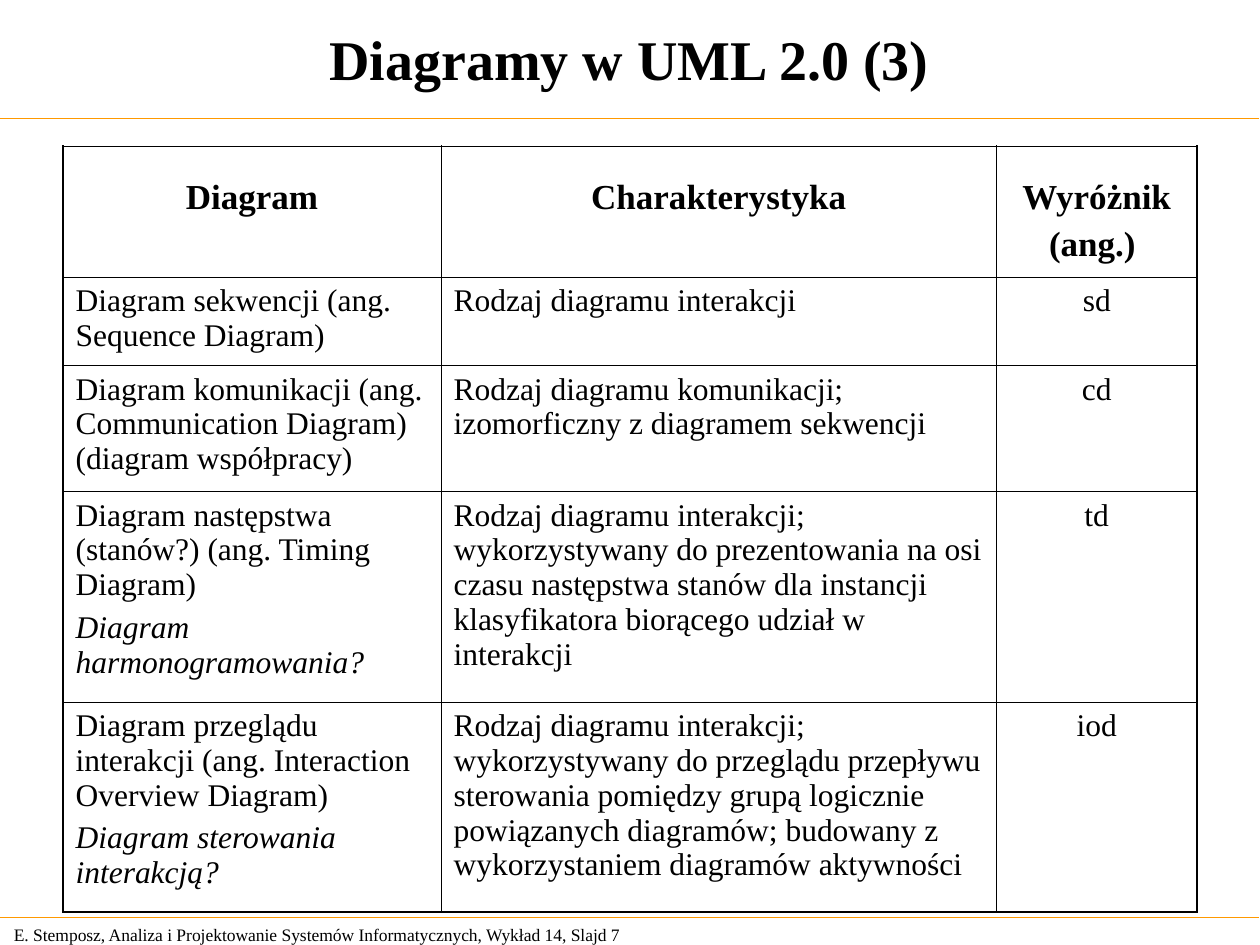
from lxml.etree import SubElement
from pptx import Presentation
from pptx.dml.color import RGBColor
from pptx.enum.shapes import MSO_CONNECTOR as Connector
from pptx.enum.text import MSO_ANCHOR as Anchor, MSO_AUTO_SIZE as AutoSize, PP_ALIGN as Align
from pptx.oxml.ns import qn
from pptx.util import Cm, Pt

BLACK, ORANGE = "000000", "FF9900"
THIN, THICK = 0.45, 1.08
COLUMN_WIDTHS = [7.62, 11.2, 4.04]
ROW_HEIGHTS = [2.64, 1.78, 2.54, 4.24, 4.24]
HEADINGS = [["Diagram"], ["Charakterystyka"], ["Wyróżnik", "(ang.) "]]
DIAGRAMS = [
    [["Diagram sekwencji (ang. Sequence Diagram)"],
     ["Rodzaj diagramu interakcji"], ["sd"]],
    [["Diagram komunikacji (ang. Communication Diagram) (diagram współpracy)"],
     ["Rodzaj diagramu komunikacji; izomorficzny z diagramem sekwencji"], ["cd"]],
    [["Diagram następstwa (stanów?) (ang. Timing Diagram)", "Diagram harmonogramowania?"],
     ["Rodzaj diagramu interakcji; wykorzystywany do prezentowania na osi czasu "
      "następstwa stanów dla instancji klasyfikatora biorącego udział w interakcji"], ["td"]],
    [["Diagram przeglądu interakcji (ang. Interaction Overview Diagram)",
      "Diagram sterowania interakcją?"],
     ["Rodzaj diagramu interakcji; wykorzystywany do przeglądu przepływu sterowania "
      "pomiędzy grupą logicznie powiązanych diagramów; budowany z wykorzystaniem "
      "diagramów aktywności"], ["iod"]],
]


def color(hex_code):
    """Turn a hex string into a colour."""
    return RGBColor.from_string(hex_code)


def apply(target, **values):
    """Set each given attribute on the target."""
    for name, value in values.items():
        setattr(target, name, value)


class SlideBuilder:
    """Hold the lecture style and the current slide."""

    font_name = "Times New Roman"

    def __init__(self, slide):
        """Keep the slide to fill."""
        self.slide = slide

    def fill_text(self, frame, texts, size, align=Align.LEFT, gap=0, bold=False,
                  last_italic=False):
        """Fill a frame with paragraphs, with an optional italic remark at the end."""
        for index, text in enumerate(texts):
            paragraph = frame.paragraphs[0] if index == 0 else frame.add_paragraph()
            paragraph.text = text
            paragraph.alignment = align
            if index:
                paragraph.space_before = Pt(gap)
            apply(paragraph.font, name=self.font_name, size=Pt(size), bold=bold,
                  italic=last_italic and index > 0)
            paragraph.font.color.rgb = color(BLACK)

    def title(self, text):
        """Place and format the slide title."""
        heading = self.slide.shapes.title
        apply(heading, left=0, top=0, width=Cm(25.37), height=Cm(2.34))
        apply(heading.text_frame, auto_size=AutoSize.NONE, vertical_anchor=Anchor.MIDDLE)
        self.fill_text(heading.text_frame, [text], 32, Align.CENTER, bold=True)

    def footer(self, text):
        """Add the lecture line at the bottom."""
        lecture = self.slide.shapes.add_textbox(Cm(0.03), Cm(18.49), Cm(13.31), Cm(0.69))
        apply(lecture.text_frame, word_wrap=False, vertical_anchor=Anchor.MIDDLE)
        self.fill_text(lecture.text_frame, [text], 10)

    def rule(self, top):
        """Draw a horizontal rule across the slide."""
        divider = self.slide.shapes.add_connector(
            Connector.STRAIGHT, Cm(-0.03), Cm(top), Cm(25.37), Cm(top))
        divider.line.color.rgb = color(ORANGE)
        divider.line.width = Pt(0.75)
        SubElement(divider._element.spPr, qn("a:effectLst"))

    def borders(self, cell, widths):
        """Draw the four cell borders in the given widths."""
        properties = cell._tc.get_or_add_tcPr()
        for side, width in widths.items():
            edge = SubElement(properties, qn(f"a:ln{side}"), w=str(int(Pt(width))))
            fill = SubElement(edge, qn("a:solidFill"))
            SubElement(fill, qn("a:srgbClr"), val=BLACK)

    def table(self, left, top, rows):
        """Add the diagram table with a thick outer frame."""
        last_row, last_column = len(rows) - 1, len(COLUMN_WIDTHS) - 1
        grid = self.slide.shapes.add_table(
            len(rows), len(COLUMN_WIDTHS), Cm(left), Cm(top),
            Cm(sum(COLUMN_WIDTHS)), Cm(sum(ROW_HEIGHTS))).table
        apply(grid, first_row=False, horz_banding=False)
        for column, width in zip(grid.columns, COLUMN_WIDTHS):
            column.width = Cm(width)
        for r, (row, height) in enumerate(zip(rows, ROW_HEIGHTS)):
            grid.rows[r].height = Cm(height)
            for c, texts in enumerate(row):
                cell = grid.cell(r, c)
                outer = {"L": c == 0, "R": c == last_column, "T": r == 0, "B": r == last_row}
                self.borders(cell, {side: THICK if edge else THIN for side, edge in outer.items()})
                cell.fill.background()
                if r == 0:
                    cell.margin_top = Cm(0.64)
                    self.fill_text(cell.text_frame, texts, 20, Align.CENTER, gap=5, bold=True)
                else:
                    align = Align.CENTER if c == last_column else Align.LEFT
                    self.fill_text(cell.text_frame, texts, 18, align, gap=4.5, last_italic=True)


def main():
    """Build and save the slide."""
    deck = Presentation()
    apply(deck, slide_width=Cm(25.4), slide_height=Cm(19.05))
    builder = SlideBuilder(deck.slides.add_slide(deck.slide_layouts[5]))
    builder.footer("E. Stemposz, Analiza i Projektowanie Systemów Informatycznych, Wykład 14, Slajd 7")
    for top in (2.39, 18.49):
        builder.rule(top)
    builder.title("Diagramy w UML 2.0 (3)")
    builder.table(1.27, 2.95, [HEADINGS, *DIAGRAMS])
    deck.save("out.pptx")


if __name__ == "__main__":
    main()
